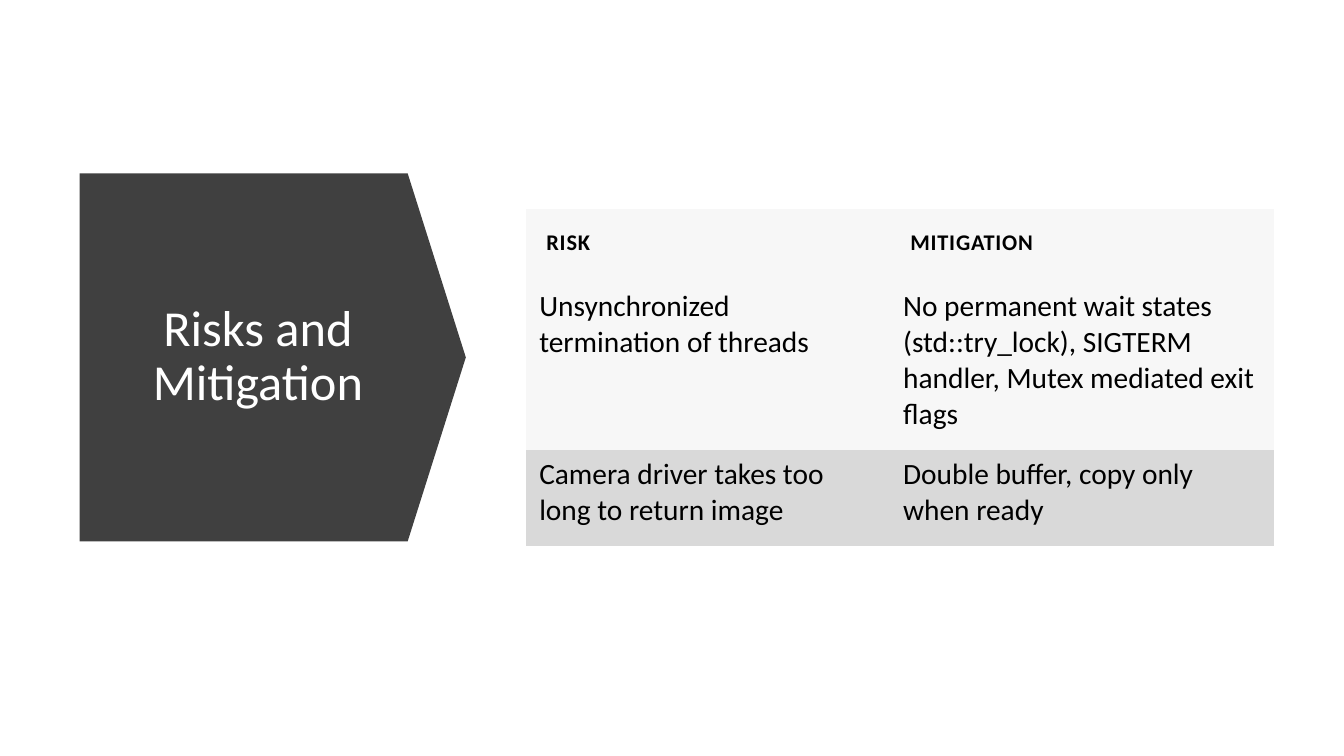
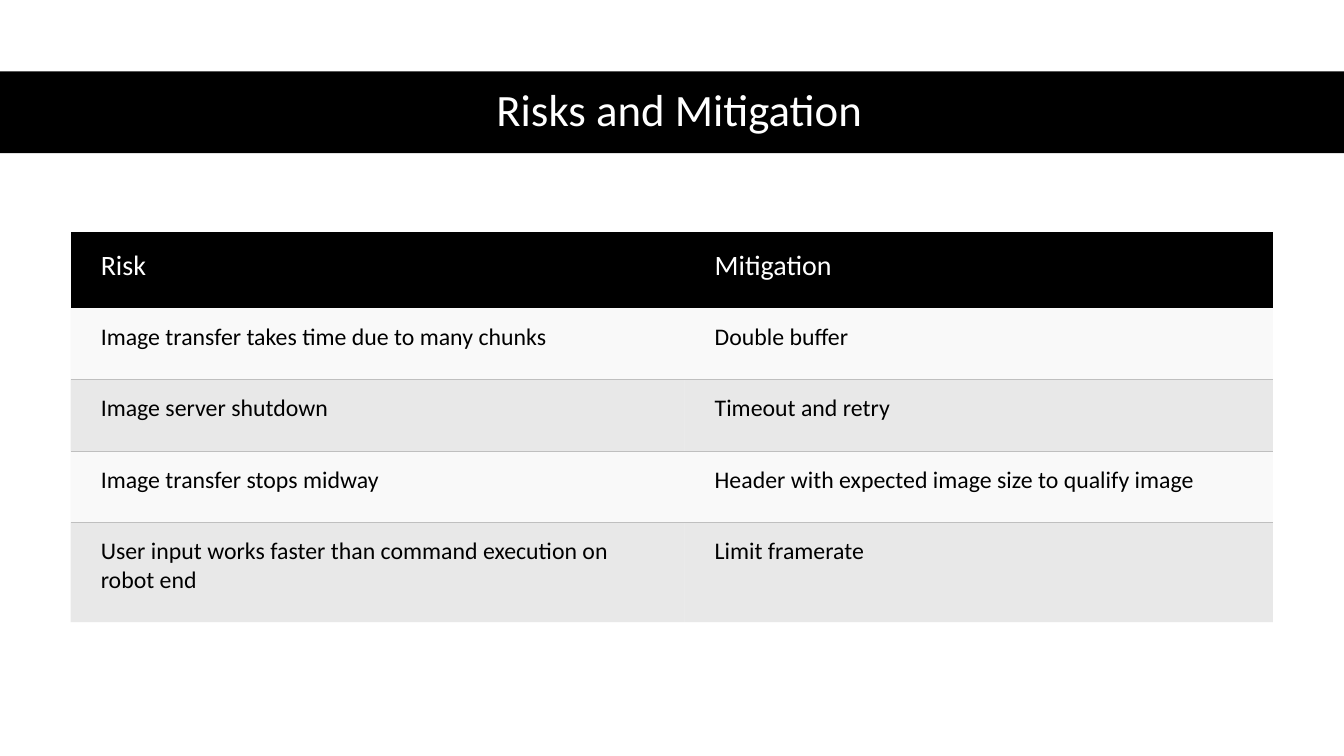
import pptx
import pptx.util
import pptx.dml.color
import pptx.enum.shapes
import pptx.enum.text
import pptx.oxml
import pptx.oxml.ns
from dataclasses import dataclass

Cm, Pt = pptx.util.Cm, pptx.util.Pt
Shape = pptx.enum.shapes.MSO_SHAPE
Text = pptx.enum.text
qn = pptx.oxml.ns.qn

# Content
TITLE = "Risks and Mitigation"
THREADS = [
    ("RISK", "MITIGATION"),
    ("Unsynchronized termination of threads",
     "No permanent wait states (std::try_lock), SIGTERM handler, "
     "Mutex mediated exit flags"),
    ("Camera driver takes too long to return image",
     "Double buffer, copy only when ready"),
]
IMAGES = [
    ("Risk", "Mitigation"),
    ("Image transfer takes time due to many chunks", "Double buffer"),
    ("Image server shutdown", "Timeout and retry"),
    ("Image transfer stops midway",
     "Header with expected image size to qualify image"),
    ("User input works faster than command execution on robot end",
     "Limit framerate"),
]


# Theme
@dataclass(frozen=True)
class Theme:
    font: str = "Calibri"
    black: str = "000000"
    white: str = "FFFFFF"
    dark: str = "404040"
    pale: str = "F7F7F7"
    gray: str = "D9D9D9"
    light: str = "F2F2F2"
    rule: str = "BFBFBF"
    big: int = 36
    head: int = 32
    plain: str = "{2D5ABB26-0587-4C30-8999-92F81FD0307C}"


T = Theme()


@dataclass(frozen=True)
class Style:
    """How one kind of table row looks."""
    size: int
    ink: str
    fill: str
    pads: tuple              # left, top, right, bottom
    alpha: int = 100
    bold: bool = False
    space: int = 0           # letter spacing, 1/100 pt
    mid: bool = False
    edge: str = ""           # side that carries the rule


TIGHT = (0.33, 0.18, 0.33, 0.33)
WIDE = (0.76, 0.36, 0.58, 0.58)
THREAD_ROWS = (
    Style(16, T.black, T.pale, (0.51,) * 4, bold=True, space=60),
    Style(21, T.black, T.pale, TIGHT),
    Style(21, T.black, T.gray, TIGHT),
)
IMAGE_ROWS = (
    Style(20, T.white, T.black, WIDE, mid=True),
    Style(17, T.black, T.light, WIDE, alpha=45, edge="lnB"),
    Style(17, T.black, T.rule, WIDE, alpha=35, edge="lnT"),
)


# Helpers
def paint(fill, tint):
    fill.solid()
    fill.fore_color.rgb = pptx.dml.color.RGBColor.from_string(tint)


def write(para, text, size, ink, bold=False):
    run = para.add_run()
    run.text = text
    font = run.font
    font.name, font.size, font.bold = T.font, Pt(size), bold
    font.color.rgb = pptx.dml.color.RGBColor.from_string(ink)


def start(deck, kind, area, tint, spot, size):
    """Add a slide whose title lies on a filled shape."""
    slide = deck.slides.add_slide(deck.slide_layouts[5])
    title = slide.shapes.title
    title.left, title.top, title.width, title.height = map(Cm, spot)
    frame = title.text_frame
    frame.word_wrap = True
    frame.auto_size = Text.MSO_AUTO_SIZE.NONE
    frame.vertical_anchor = Text.MSO_ANCHOR.MIDDLE
    para = frame.paragraphs[0]
    para.alignment = Text.PP_ALIGN.CENTER
    para.line_spacing = 0.9
    write(para, TITLE, size, T.white)

    shape = slide.shapes.add_shape(kind, *map(Cm, area))
    shape.shadow.inherit = False
    paint(shape.fill, tint)
    shape.line.fill.background()
    title.element.addprevious(shape.element)
    return slide, shape


def border(props, edge):
    props.insert(0, pptx.oxml.parse_xml(
        f'<a:{edge} {pptx.oxml.ns.nsdecls("a")} w="{Pt(1)}"><a:solidFill>'
        f'<a:srgbClr val="{T.rule}"/></a:solidFill></a:{edge}>'))


def dress(cell, node, text, style):
    """Fill one cell; node is its XML element."""
    (cell.margin_left, cell.margin_top,
     cell.margin_right, cell.margin_bottom) = map(Cm, style.pads)
    if style.mid:
        cell.vertical_anchor = Text.MSO_ANCHOR.MIDDLE
    write(cell.text_frame.paragraphs[0], text, style.size, style.ink,
          style.bold)
    if style.space:
        next(node.iter(qn("a:rPr"))).set("spc", str(style.space))
    paint(cell.fill, style.fill)
    props = node.find(qn("a:tcPr"))
    if style.alpha < 100:
        tone = next(props.iter(qn("a:srgbClr")))
        alpha = tone.makeelement(qn("a:alpha"), {"val": str(style.alpha * 1000)})
        tone.append(alpha)
    if style.edge:
        border(props, style.edge)


def grid(slide, data, left, top, cols, rows, styles):
    """Add a table: the first style is the header, the rest alternate."""
    frame = slide.shapes.add_table(
        len(rows), len(cols), Cm(left), Cm(top), Cm(sum(cols)), Cm(sum(rows)))
    table = frame.table
    table.first_row = table.horz_banding = False
    next(frame.element.iter(qn("a:tableStyleId"))).text = T.plain
    for col, width in zip(table.columns, cols):
        col.width = Cm(width)
    for row, height in zip(table.rows, rows):
        row.height = Cm(height)
    head, *bands = styles
    nodes = frame.element.iter(qn("a:tc"))
    for r, line in enumerate(data):
        style = bands[(r - 1) % len(bands)] if r else head
        for c, text in enumerate(line):
            dress(table.cell(r, c), next(nodes), text, style)


# Slides
def main():
    deck = pptx.Presentation()
    deck.slide_width, deck.slide_height = Cm(33.87), Cm(19.05)

    # Arrow beside a small table
    slide, arrow = start(deck, Shape.DOWN_ARROW, (2.24, 4.14, 9.27, 9.73),
                         T.dark, (2.84, 5.46, 7.32, 7.09), T.big)
    arrow.rotation = 270
    arrow.adjustments[0], arrow.adjustments[1] = 1, 0.158
    grid(slide, THREADS, 13.26, 5.26, (9.17, 9.68), (1.83, 4.24, 2.44),
         THREAD_ROWS)

    # Band above a wide table
    slide, band = start(deck, Shape.RECTANGLE, (0, 1.8, 33.87, 2.06),
                        T.black, (1.55, 1.78, 31.14, 2.06), T.head)
    grid(slide, IMAGES, 1.78, 5.84, (15.47, 14.83),
         (1.93, 1.8, 1.8, 1.8, 2.51), IMAGE_ROWS)

    deck.save("out.pptx")


if __name__ == "__main__":
    main()
